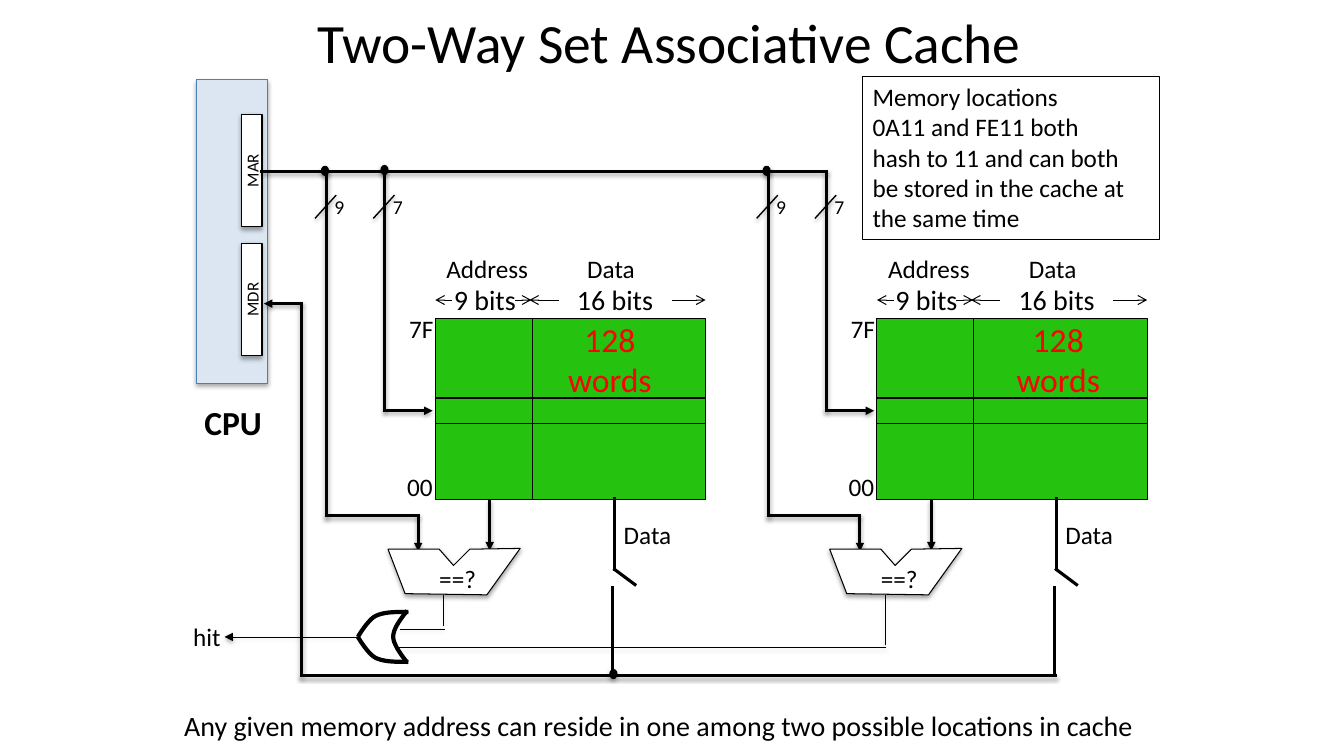
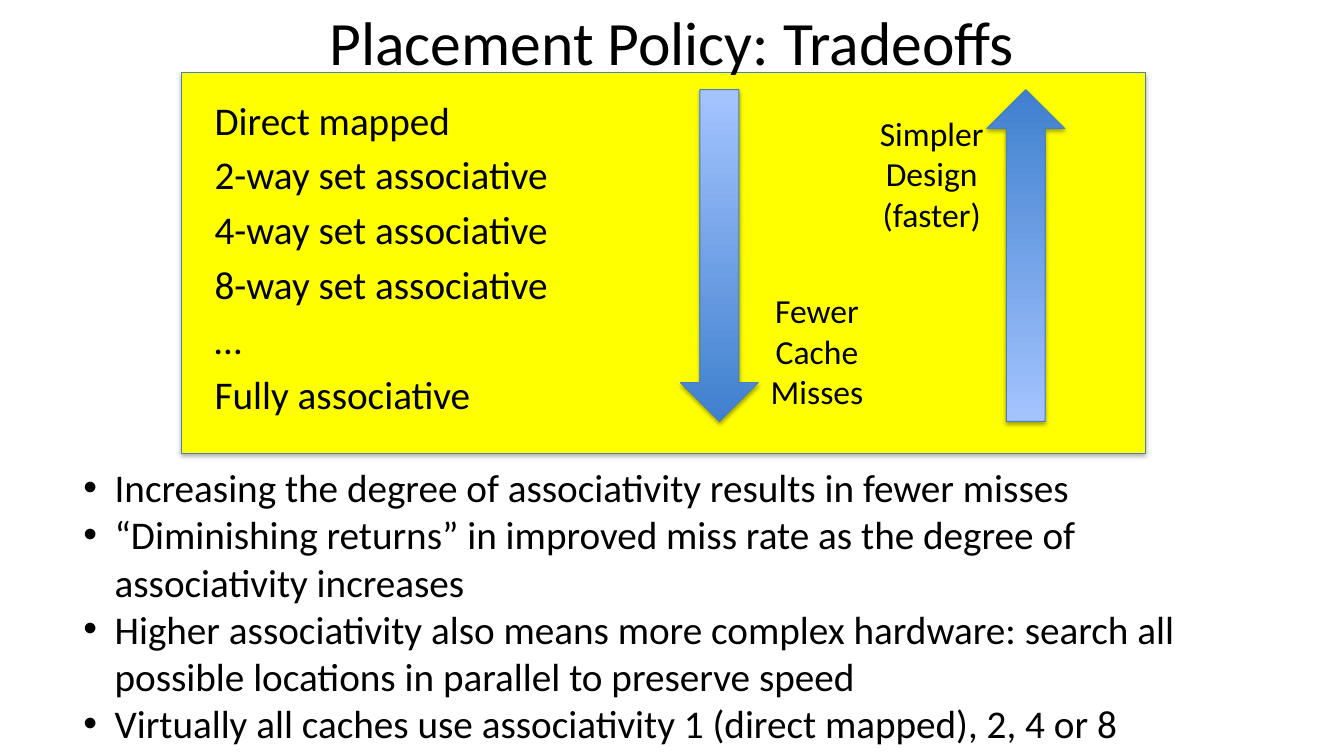
"""Build two slides on set associative caches and placement policy."""
from dataclasses import dataclass
from itertools import pairwise

from lxml.etree import SubElement
from pptx import Presentation
from pptx.dml.color import RGBColor
from pptx.enum.shapes import MSO_CONNECTOR, MSO_SHAPE
from pptx.enum.text import MSO_ANCHOR, MSO_AUTO_SIZE, PP_ALIGN
from pptx.oxml.ns import qn
from pptx.util import Cm, Pt


@dataclass(frozen=True)
class Theme:
    """Hold the colours, font and type sizes of the deck."""
    font: str = "Calibri"
    black: str = "000000"
    white: str = "FFFFFF"
    red: str = "FF0000"
    green: str = "25C210"
    yellow: str = "FFFF00"
    pale: str = "DCE6F2"
    edge: str = "4B7EBC"
    dark: str = "3F80CE"
    light: str = "A4C4FF"
    tiny: int = 12
    small: int = 14
    text: int = 18
    note: int = 20
    large: int = 24
    list: int = 28
    thin: float = 0.25
    hair: float = 0.75
    slash: float = 1
    wire: float = 2
    switch: float = 2.25
    gate: float = 3


THEME = Theme()
STEP = 11.13


def paint(value):
    """Turn a hex value into a colour."""
    return RGBColor.from_string(value)


def shade(shape, cast=True):
    """Give a shape a soft shadow below, or none."""
    effect = SubElement(shape.element.spPr, qn("a:effectLst"))
    if cast:
        outer = SubElement(effect, qn("a:outerShdw"), blurRad="40000",
                           dist="22000", dir="5400000", rotWithShape="0")
        tint = SubElement(outer, qn("a:srgbClr"), val=THEME.black)
        SubElement(tint, qn("a:alpha"), val="35000")


def write(frame, lines, size, align=PP_ALIGN.LEFT, color=THEME.black, bold=False):
    """Fill a text frame and format all of its runs."""
    frame.text = "\n".join(lines)
    for para in frame.paragraphs:
        para.alignment = align
        for run in para.runs:
            run.font.name = THEME.font
            run.font.size = Pt(size)
            run.font.bold = bold
            run.font.color.rgb = paint(color)


def label(slide, box, lines, size=THEME.text, wrap=False, **look):
    """Add a text box and return its frame."""
    frame = slide.shapes.add_textbox(*map(Cm, box)).text_frame
    frame.word_wrap = wrap
    write(frame, lines, size, **look)
    return frame


def outline(shape, color=THEME.black, width=THEME.hair):
    """Set the line of a shape."""
    shape.line.color.rgb = paint(color)
    shape.line.width = Pt(width)


def block(slide, box, fill=None, edge=THEME.black, kind=MSO_SHAPE.RECTANGLE, cast=False):
    """Add a preset shape with a plain fill or none."""
    shape = slide.shapes.add_shape(kind, *map(Cm, box))
    if fill:
        shape.fill.solid()
        shape.fill.fore_color.rgb = paint(fill)
    else:
        shape.fill.background()
    outline(shape, edge)
    shade(shape, cast)
    return shape


def wire(slide, points, width=THEME.wire, head=None, cast=True):
    """Join points by straight lines, with an arrowhead at the end."""
    for start, end in pairwise(points):
        line = slide.shapes.add_connector(MSO_CONNECTOR.STRAIGHT, *map(Cm, start + end))
        outline(line, width=width)
        stroke = line.element.spPr.find(qn("a:ln"))
        stroke.set("cap", "sq")
        if head and end == points[-1]:
            SubElement(stroke, qn("a:tailEnd"), type=head)
        shade(line, cast)


def trace(slide, points, close=False):
    """Draw a free outline through points."""
    first, *rest = [(Cm(x), Cm(y)) for x, y in points]
    pen = slide.shapes.build_freeform(*first)
    pen.add_line_segments(rest, close=close)
    return pen.convert_to_shape()


def curve(*knots, count=12):
    """Sample a cubic curve given by four points."""
    result = []
    for step in range(count + 1):
        t = step / count
        parts = ((1 - t) ** 3, 3 * t * (1 - t) ** 2, 3 * t * t * (1 - t), t ** 3)
        result.append(tuple(sum(k * p[axis] for k, p in zip(parts, knots))
                            for axis in (0, 1)))
    return result


def dot(slide, x, y):
    """Mark a joint of two wires."""
    block(slide, (x - 0.09, y - 0.12, 0.18, 0.23), THEME.black,
          kind=MSO_SHAPE.OVAL, cast=True)


def begin(deck, title, box, size):
    """Add a slide and set its title."""
    slide = deck.slides.add_slide(deck.slide_layouts[5])
    head = slide.shapes.title
    head.left, head.top, head.width, head.height = map(Cm, box)
    write(head.text_frame, [title], size, PP_ALIGN.CENTER)
    head.text_frame.auto_size = MSO_AUTO_SIZE.NONE
    head.text_frame.vertical_anchor = MSO_ANCHOR.MIDDLE
    return slide


def store(slide, dx):
    """Draw the table of one way with its labels."""
    for x, width in ((13.34, 4.44), (10.97, 2.44)):
        for y, height in ((8.03, 4.57), (10.03, 0.64)):
            block(slide, (x + dx, y, width, height), THEME.green)
    for x, y, width, word in ((10.06, 7.77, 1.14, "7F"), (10.01, 11.76, 1.17, "00"),
                              (11, 6.27, 2.59, "Address"), (14.55, 6.27, 1.73, "Data"),
                              (15.47, 12.95, 1.73, "Data")):
        label(slide, (x + dx, y, width, 1.02), [word])
    for x, width, word in ((11.18, 2.08, "9 bits"), (14.27, 2.46, "16 bits")):
        frame = label(slide, (x + dx, 7.16, width, 0.95), [word], THEME.note,
                      align=PP_ALIGN.CENTER)
        frame.paragraphs[0].line_spacing = 0.8
    for start, end in ((11.38, 10.97), (12.98, 13.39), (14.07, 13.34), (16.94, 17.78)):
        wire(slide, [(start + dx, 7.56), (end + dx, 7.56)], THEME.hair, "arrow", False)


def match(slide, dx, low):
    """Draw the wires and the tag check of one way."""
    def move(*points):
        """Shift points to this way."""
        return [(x + dx, y) for x, y in points]

    wire(slide, move((9.7, 4.32), (9.7, 10.35), (10.9, 10.35)), head="triangle")
    wire(slide, move((8.23, 4.32), (8.23, 13), (10.54, 13), (10.54, 13.89)),
         head="triangle")
    wire(slide, move((12.34, 12.62), (12.34, 13.87)), head="triangle")
    shape = trace(slide, move((9.78, 13.84), (11.07, 13.84), (11.43, 14.25),
                              (11.84, 13.84), (13.11, 13.82), (12.27, 14.99),
                              (10.21, 14.96)), True)
    shape.fill.solid()
    shape.fill.fore_color.rgb = paint(THEME.white)
    outline(shape)
    shade(shape)
    label(slide, (10.82 + dx, 14.07, 1.45, 1.02), ["==?"])
    wire(slide, move((11.18, 14.99), (11.18, low)), THEME.thin)
    wire(slide, move((15.49, 12.57), (15.49, 14.35), (16, 14.73)),
         THEME.switch, cast=False)
    wire(slide, move((15.44, 14.81), (15.44, 16.97)), THEME.switch, cast=False)
    for x, bits in ((8.46, "9"), (9.93, "7")):
        wire(slide, move((x, 4.93), (x - 0.51, 5.49)), THEME.slash)
        label(slide, (x - 0.28 + dx, 4.78, 0.76, 0.86), [bits], THEME.small)
    dot(slide, 8.19 + dx, 4.31)


def chip(slide):
    """Draw the processor with its two ports."""
    block(slide, (4.95, 2.01, 1.8, 7.65), THEME.pale, THEME.edge, cast=True)
    for y, word in ((4.04, "MAR"), (7.29, "MDR")):
        port = block(slide, (4.93, y, 2.84, 0.51), THEME.white, cast=True)
        port.rotation = 270
        port.text_frame.vertical_anchor = MSO_ANCHOR.MIDDLE
        write(port.text_frame, [word], THEME.tiny, PP_ALIGN.CENTER)
    label(slide, (4.9, 10.01, 1.98, 1.27), ["CPU"], THEME.large, bold=True)


def gate(slide):
    """Draw the gate that joins both checks into a hit."""
    top = (curve((10.29, 15.42), (9.98, 15.42), (9.68, 15.42), (9.47, 15.52))
           + curve((9.47, 15.52), (9.27, 15.62), (9.02, 16.05), (9.02, 16.05))[1:])
    base = [(x, 32.1 - y) for x, y in top]
    back = (curve((10.26, 15.39), (10.08, 15.62), (9.91, 15.85), (9.91, 16.05))
            + curve((9.91, 16.05), (9.91, 16.28), (10.26, 16.69), (10.26, 16.69))[1:])
    for points in (top, base, back):
        arc = trace(slide, points)
        arc.fill.background()
        outline(arc, width=THEME.gate)
        shade(arc, False)
    wire(slide, [(9.02, 16.05), (5.66, 16.05)], THEME.thin, "triangle")
    wire(slide, [(11.2, 15.85), (10.08, 15.85)], THEME.thin)
    wire(slide, [(22.33, 16.31), (10.06, 16.31)], THEME.thin)
    label(slide, (4.62, 15.52, 1.22, 1.02), ["hit"])


def cache(deck):
    """Build the slide on the two-way cache."""
    slide = begin(deck, "Two-Way Set Associative Cache", (5.44, 0, 22.86, 2.08), 39.6)
    label(slide, (4.39, 17.73, 25.1, 1.12),
          ["Any given memory address can reside in one among two possible "
           "locations in cache"], THEME.note, True)
    chip(slide)
    wire(slide, [(6.6, 4.32), (20.83, 4.32)])
    wire(slide, [(26.59, 17.02), (7.59, 17.02), (7.59, 7.65), (6.65, 7.65)],
         head="triangle")
    for dx, low in ((0, 15.77), (STEP, 16.26)):
        store(slide, dx)
        match(slide, dx, low)
    dot(slide, 9.69, 4.29)
    dot(slide, 15.46, 16.99)
    gate(slide)
    note = block(slide, (21.74, 1.93, 7.49, 4.11)).text_frame
    note.vertical_anchor = MSO_ANCHOR.TOP
    write(note, ["Memory locations", "0A11 and FE11 both",
                 "hash to 11 and can both be stored in the cache at the same time"],
          THEME.text)
    for x in (14.05, 25.35):
        label(slide, (x, 7.9, 2.64, 2.31), ["128", "words"], THEME.large,
              align=PP_ALIGN.CENTER, color=THEME.red)


def trend(slide, x, kind, angle, spot, lines):
    """Add a shaded block arrow and its caption."""
    arrow = block(slide, (x, 2.26, 1.96, 8.36), THEME.dark, THEME.edge, kind, True)
    arrow.fill.gradient()
    arrow.fill.gradient_angle = angle
    for stop, color in zip(arrow.fill.gradient_stops, (THEME.dark, THEME.light)):
        stop.color.rgb = paint(color)
    label(slide, (*spot, 3.18, 3.33), lines, THEME.large, True, align=PP_ALIGN.CENTER)


def bullets(slide, box, lines):
    """Add a bulleted list."""
    for para in label(slide, box, lines, THEME.list, True).paragraphs:
        props = para._p.get_or_add_pPr()
        props.set("marL", str(Cm(0.79)))
        props.set("indent", str(-Cm(0.79)))
        SubElement(props, qn("a:buFont"), typeface="Arial")
        SubElement(props, qn("a:buChar"), char="•")


def policy(deck):
    """Build the slide on placement tradeoffs."""
    slide = begin(deck, "Placement Policy: Tradeoffs", (5.51, -0.56, 22.86, 3.18), 44)
    panel = block(slide, (4.57, 1.83, 24.31, 9.6), THEME.yellow, THEME.edge, cast=True)
    slide.shapes.title.element.addprevious(panel.element)
    kinds = label(slide, (5.16, 2.29, 11.91, 10.5),
                  ["Direct mapped", "2-way set associative", "4-way set associative",
                   "8-way set associative", "…", "Fully associative"], THEME.list, True)
    for para in kinds.paragraphs:
        para.space_before = Pt(5.6)
    trend(slide, 17.15, MSO_SHAPE.DOWN_ARROW, 90, (19, 7.19),
          ["Fewer", "Cache", "Misses"])
    trend(slide, 24.87, MSO_SHAPE.UP_ARROW, 270, (21.89, 2.72),
          ["Simpler", "Design", "(faster)"])
    bullets(slide, (1.85, 11.56, 30.48, 7.44), [
        "Increasing the degree of associativity results in fewer misses",
        "“Diminishing returns” in improved miss rate as the degree of "
        "associativity increases",
        "Higher associativity also means more complex hardware: search all "
        "possible locations in parallel to preserve speed",
        "Virtually all caches use associativity 1 (direct mapped), 2, 4 or 8"])


def main():
    """Make the deck and save it."""
    deck = Presentation()
    deck.slide_width, deck.slide_height = Cm(33.87), Cm(19.05)
    cache(deck)
    policy(deck)
    deck.save("out.pptx")


if __name__ == "__main__":
    main()
